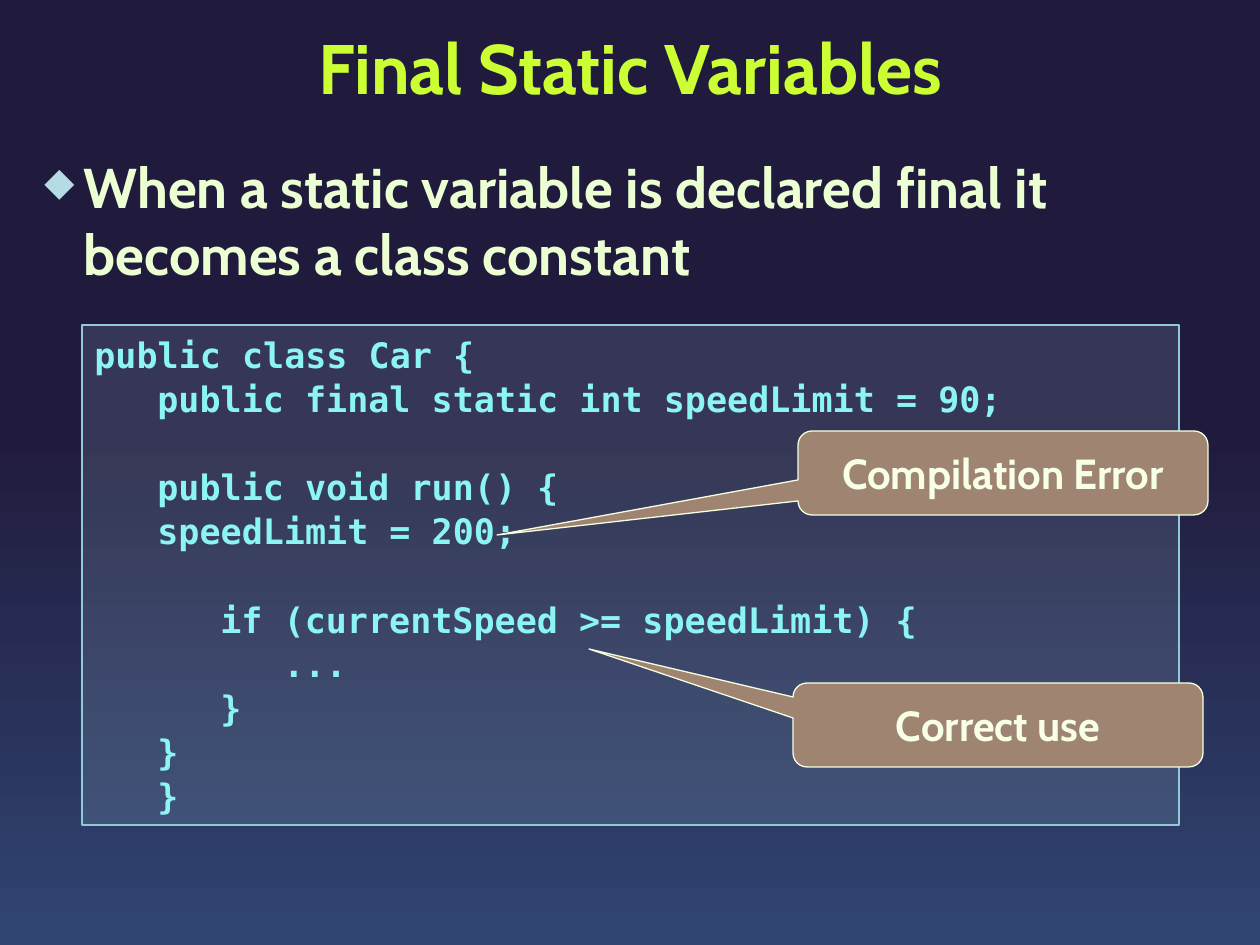
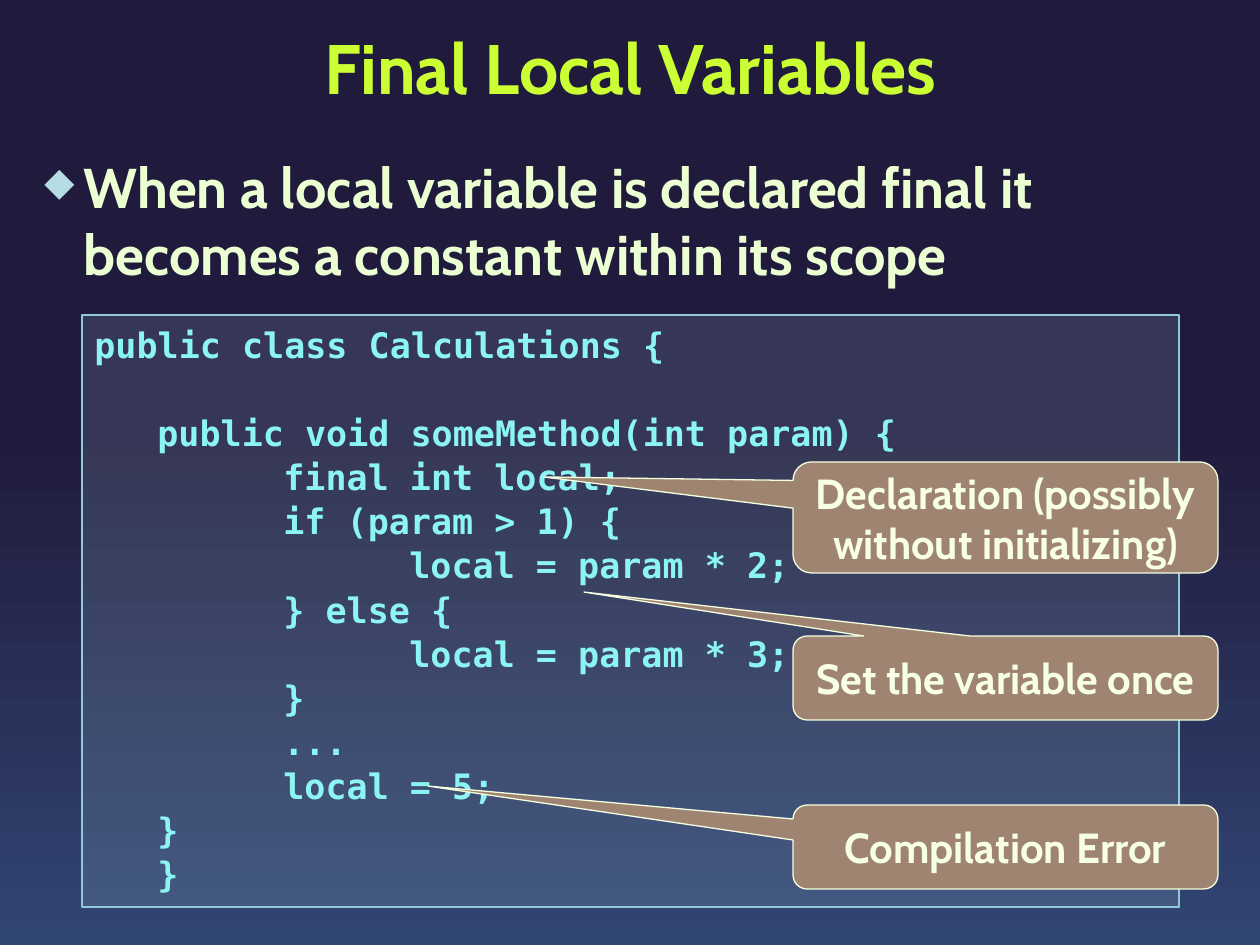
from pptx import Presentation
from pptx.dml.color import RGBColor
from pptx.enum.shapes import MSO_SHAPE
from pptx.enum.text import MSO_ANCHOR, PP_ALIGN
from pptx.oxml.ns import qn
from pptx.util import Emu, Pt
from lxml.etree import SubElement

EMU_PER_PX = 914400 / 126
SLIDE_SIZE = (1260, 945)
TITLE_BOX = (32, 10, 1196, 126)
BODY_BOX = (32, 147, 1196, 777)
CODE_INDENT = 63
BULLET_INDENT = 39
CODE_LINE_HEIGHT = Pt(25.3)

NIGHT, DUSK = "201B3D", "314573"
BULLET_BLUE, PANEL_LINE = "B5DBE5", "90CAD7"
CALLOUT_BROWN, CALLOUT_LINE = "9F8471", "F5FFE0"

TITLE_FONT = {"name": "Cabin", "size": Pt(40), "bold": True, "color": "CCFF33"}
BODY_FONT = {"name": "Cabin", "size": Pt(32), "bold": True, "color": "EBFFD2"}
CODE_FONT = {"name": "DejaVu Sans Mono", "size": Pt(20), "bold": True, "color": "8CF4F2"}
CALLOUT_FONT = {"name": "Cabin", "size": Pt(24), "bold": True, "color": "F7FFE7"}

TITLE_PARAGRAPH = {"alignment": PP_ALIGN.CENTER, "line_spacing": Pt(40)}
BODY_PARAGRAPH = {"line_spacing": Pt(38), "space_before": Pt(6), "space_after": Pt(6)}
CODE_PARAGRAPH = {"alignment": PP_ALIGN.LEFT, "line_spacing": 1.05}
CALLOUT_PARAGRAPH = {"alignment": PP_ALIGN.CENTER}

SLIDES = [
    {
        "title": "Final Static Variables",
        "body": "When a static variable is declared final it becomes a class constant",
        "panel": (82, 325, 1097, 500),
        "code": [
            (0, 0, "public class Car {"),
            (1, 0, "public final static int speedLimit = 90;"),
            (1, 1, "public void run() {"),
            (1, 0, "speedLimit = 200;"),
            (2, 1, "if (currentSpeed >= speedLimit) {"),
            (3, 0, "..."),
            (2, 0, "}"),
            (1, 0, "}"),
            (1, 0, "}"),
        ],
        "callouts": [
            ("Compilation Error", (716, 106, 410, 84), (415, 210)),
            ("Correct use", (711, 358, 410, 84), (507, 324)),
        ],
    },
    {
        "title": "Final Local Variables",
        "body": "When a local variable is declared final it becomes a constant within its scope",
        "panel": (82, 315, 1097, 592),
        "code": [
            (0, 0, "public class Calculations {"),
            (1, 1, "public void someMethod(int param) {"),
            (3, 0, "final int local;"),
            (3, 0, "if (param > 1) {"),
            (5, 0, "local = param * 2;"),
            (3, 0, "} else {"),
            (5, 0, "local = param * 3;"),
            (3, 0, "}"),
            (3, 0, "..."),
            (3, 0, "local = 5;"),
            (1, 0, "}"),
            (1, 0, "}"),
        ],
        "callouts": [
            ("Declaration (possibly without initializing)", (711, 147, 425, 111), (461, 162)),
            ("Compilation Error", (711, 490, 425, 84), (346, 471)),
            ("Set the variable once", (711, 321, 425, 84), (502, 277)),
        ],
    },
]


def px(length):
    return Emu(round(length * EMU_PER_PX))


def color(value):
    return RGBColor.from_string(value)


def set_attributes(target, values):
    for name, value in values.items():
        setattr(target, name, value)


def write(paragraph, text, font, layout):
    run = paragraph.add_run()
    run.text = text
    set_attributes(run.font, {name: value for name, value in font.items() if name != "color"})
    run.font.color.rgb = color(font["color"])
    set_attributes(paragraph, layout)


def add_text(slide, box, anchor):
    shape = slide.shapes.add_textbox(*map(px, box))
    set_attributes(shape.text_frame, {"word_wrap": True, "vertical_anchor": anchor})
    return shape.text_frame.paragraphs[0]


def add_filled(slide, kind, box, fill, line, width, anchor):
    shape = slide.shapes.add_shape(kind, *map(px, box))
    shape.shadow.inherit = False
    shape.fill.solid()
    shape.fill.fore_color.rgb = color(fill)
    shape.line.color.rgb = color(line)
    shape.line.width = Pt(width)
    set_attributes(shape.text_frame, {"word_wrap": True, "vertical_anchor": anchor})
    return shape


def paint_background(slide):
    fill = slide.background.fill
    fill.gradient()
    fill.gradient_angle = 90
    for stop, value, position in zip(fill.gradient_stops, (DUSK, NIGHT), (0, 0.54)):
        stop.color.rgb = color(value)
        stop.position = position


def add_title(slide, box, text):
    write(add_text(slide, box, MSO_ANCHOR.MIDDLE), text, TITLE_FONT, TITLE_PARAGRAPH)


def add_body(slide, box, text):
    paragraph = add_text(slide, box, MSO_ANCHOR.TOP)
    write(paragraph, text, BODY_FONT, BODY_PARAGRAPH)
    properties = paragraph._p.get_or_add_pPr()
    properties.set("marL", str(px(BULLET_INDENT)))
    properties.set("indent", str(-px(BULLET_INDENT)))
    bullet_color = SubElement(properties, qn("a:buClr"))
    SubElement(bullet_color, qn("a:srgbClr"), val=BULLET_BLUE)
    SubElement(properties, qn("a:buSzPct"), val="70000")
    SubElement(properties, qn("a:buChar"), char="◆")


def add_code_panel(slide, box, lines):
    panel = add_filled(slide, MSO_SHAPE.RECTANGLE, box, BULLET_BLUE, PANEL_LINE, 1, MSO_ANCHOR.TOP)
    fill_color = panel.fill._xPr.find(qn("a:solidFill")).find(qn("a:srgbClr"))
    SubElement(fill_color, qn("a:alpha"), val="15000")
    frame = panel.text_frame
    for index, (depth, gap, text) in enumerate(lines):
        paragraph = frame.add_paragraph() if index else frame.paragraphs[0]
        layout = CODE_PARAGRAPH | {"space_before": gap * CODE_LINE_HEIGHT}
        write(paragraph, text, CODE_FONT, layout)
        paragraph._p.get_or_add_pPr().set("marL", str(px(depth * CODE_INDENT)))


def add_callout(slide, panel, text, box, tip):
    left, top, width, height = box
    place = (panel[0] + left, panel[1] + top, width, height)
    callout = add_filled(slide, MSO_SHAPE.ROUNDED_RECTANGULAR_CALLOUT, place,
                         CALLOUT_BROWN, CALLOUT_LINE, 0.75, MSO_ANCHOR.MIDDLE)
    callout.adjustments[0] = (tip[0] - left) / width - 0.5
    callout.adjustments[1] = (tip[1] - top) / height - 0.5
    write(callout.text_frame.paragraphs[0], text, CALLOUT_FONT, CALLOUT_PARAGRAPH)


def add_code_slide(presentation, content):
    slide = presentation.slides.add_slide(presentation.slide_layouts[6])
    paint_background(slide)
    add_title(slide, TITLE_BOX, content["title"])
    add_body(slide, BODY_BOX, content["body"])
    add_code_panel(slide, content["panel"], content["code"])
    for callout in content["callouts"]:
        add_callout(slide, content["panel"], *callout)


def main():
    presentation = Presentation()
    presentation.slide_width, presentation.slide_height = map(px, SLIDE_SIZE)
    for content in SLIDES:
        add_code_slide(presentation, content)
    presentation.save("out.pptx")


if __name__ == "__main__":
    main()
